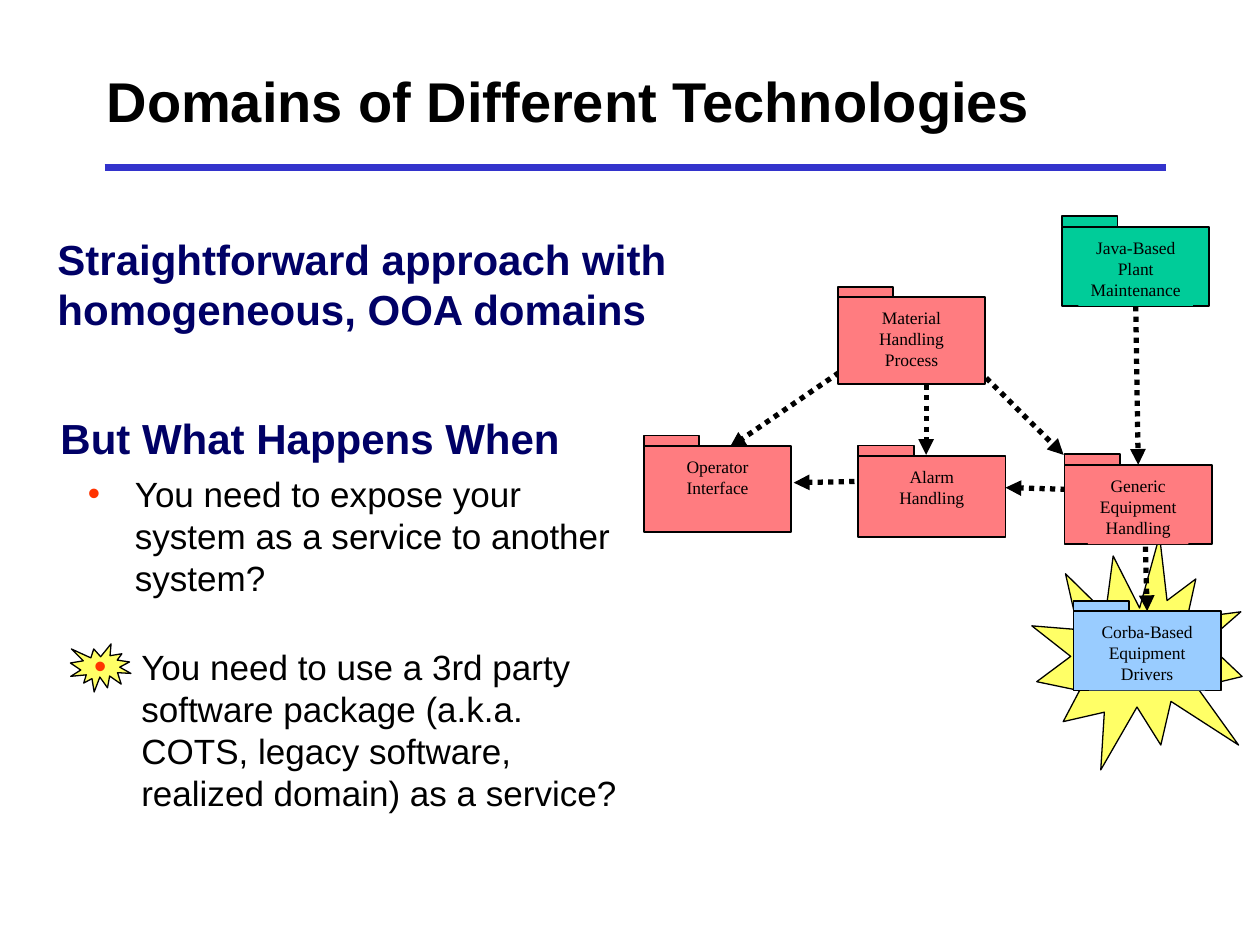
from dataclasses import dataclass

from lxml import etree
from pptx import Presentation
from pptx.dml.color import RGBColor
from pptx.enum.dml import MSO_LINE
from pptx.enum.shapes import MSO_CONNECTOR, MSO_SHAPE
from pptx.enum.text import MSO_ANCHOR, MSO_AUTO_SIZE, PP_ALIGN
from pptx.oxml.ns import qn
from pptx.util import Cm, Pt

RECT, BURST = MSO_SHAPE.RECTANGLE, MSO_SHAPE.EXPLOSION1
STRAIGHT, DOTTED = MSO_CONNECTOR.STRAIGHT, MSO_LINE.ROUND_DOT
TOP, MIDDLE, CENTER = MSO_ANCHOR.TOP, MSO_ANCHOR.MIDDLE, PP_ALIGN.CENTER
FIXED = MSO_AUTO_SIZE.NONE
TOP_SIDE, BOTTOM_SIDE = 0, 2

BLACK = RGBColor(0x00, 0x00, 0x00)
NAVY = RGBColor(0x00, 0x00, 0x66)
BLUE = RGBColor(0x33, 0x33, 0xCC)
YELLOW = RGBColor(0xFF, 0xFF, 0x66)
PINK = RGBColor(0xFF, 0x7C, 0x80)
GREEN = RGBColor(0x00, 0xCC, 0x99)
SKY = RGBColor(0x99, 0xCC, 0xFF)
BULLET_RED = RGBColor(0xFF, 0x33, 0x00)

SANS, SERIF = "Arial", "Times New Roman"
FOLDER_W, TAB_W, TAB_H = 2.97, 1.12, 0.21


# All lengths below are in centimetres
@dataclass
class Folder:
    """A domain package; x and y locate its body, the tab sits above."""
    x: float
    y: float
    height: float
    label_w: float
    color: RGBColor
    lines: list[str]


@dataclass
class Arrow:
    x1: float
    y1: float
    x2: float
    y2: float


@dataclass
class TextBlock:
    x: float
    y: float
    w: float
    h: float
    text: str
    size: int
    color: RGBColor
    bold: bool = True
    bullet: bool = False


FOLDERS = {
    "material": Folder(16.89, 5.99, 1.75, 1.9, PINK,
                       ["Material", "Handling", "Process"]),
    "alarm": Folder(17.3, 9.19, 1.63, 1.8, PINK, ["Alarm", "Handling"]),
    "generic": Folder(21.46, 9.37, 1.6, 2.03, PINK,
                      ["Generic", "Equipment", "Handling"]),
    "operator": Folder(12.98, 8.99, 1.73, 1.75, PINK,
                       ["Operator", "Interface"]),
    "drivers": Folder(21.64, 12.32, 1.6, 2.34, SKY,
                      ["Corba-Based", "Equipment", "Drivers"]),
    "maintenance": Folder(21.41, 4.57, 1.6, 2.31, GREEN,
                          ["Java-Based", "Plant", "Maintenance"]),
}

ARROWS = [
    Arrow(22.12, 9.88, 20.27, 9.83),   # generic to alarm
    Arrow(17.65, 9.7, 16, 9.73),       # alarm to operator
    Arrow(19.58, 7.32, 21.44, 9.17),   # material to generic
    Arrow(18.67, 7.54, 18.67, 9.17),   # material to alarm
    Arrow(17.09, 7.39, 14.71, 9.02),   # material to operator
]
DRIVERS_ARROW = Arrow(23.09, 11.02, 23.09, 12.27)
MAINTENANCE_ARROW = Arrow(22.94, 6.2, 23.01, 9.4)

TEXTS = [
    TextBlock(1.9, 0.84, 21.59, 2.34, "Domains of Different Technologies",
              32, BLACK),
    TextBlock(0.91, 4.55, 13.23, 2.34,
              "Straightforward approach with homogeneous, OOA domains",
              24, NAVY),
    TextBlock(0.97, 7.9, 13.21, 1.85, "But What Happens When", 24, NAVY),
    TextBlock(1.52, 9.4, 11.15, 3.2,
              "You need to expose your system as a service to another system?",
              20, BLACK, bold=False, bullet=True),
    TextBlock(1.65, 12.88, 11.1, 4.22,
              "You need to use a 3rd party software package (a.k.a. COTS, "
              "legacy software, realized domain) as a service?",
              20, BLACK, bold=False, bullet=True),
]


def add_run(p, text: str, font: str, size: int, color: RGBColor,
            bold: bool = False) -> None:
    r = p.add_run()
    r.text = text
    r.font.name, r.font.size, r.font.bold = font, Pt(size), bold
    r.font.color.rgb = color


def add_outlined(s, kind, x: float, y: float, w: float, h: float,
                 color: RGBColor, line_pt: float = 1):
    sp = s.shapes.add_shape(kind, Cm(x), Cm(y), Cm(w), Cm(h))
    sp.shadow.inherit = False
    sp.fill.solid()
    sp.fill.fore_color.rgb = color
    sp.line.color.rgb = BLACK
    sp.line.width = Pt(line_pt)
    return sp


def add_line(s, a: Arrow, color: RGBColor, width: float):
    cn = s.shapes.add_connector(STRAIGHT, Cm(a.x1), Cm(a.y1),
                                Cm(a.x2), Cm(a.y2))
    cn.line.color.rgb = color
    cn.line.width = Pt(width)
    etree.SubElement(cn._element.spPr, qn("a:effectLst"))
    return cn


def add_arrow(s, a: Arrow):
    cn = add_line(s, a, BLACK, 3)
    cn.line.dash_style = DOTTED
    ln = cn._element.spPr.find(qn("a:ln"))
    etree.SubElement(ln, qn("a:tailEnd"), type="triangle")
    return cn


def add_folder(s, f: Folder):
    body = add_outlined(s, RECT, f.x, f.y, FOLDER_W, f.height, f.color)
    add_outlined(s, RECT, f.x, f.y - TAB_H, TAB_W, TAB_H, f.color)
    # The label is centred on the body and hides part of its lower edge
    label_x = f.x + (FOLDER_W - f.label_w) / 2
    label_h = 0.32 + 0.4 * len(f.lines)
    sp = s.shapes.add_textbox(Cm(label_x), Cm(f.y + 0.08),
                              Cm(f.label_w), Cm(label_h))
    sp.fill.solid()
    sp.fill.fore_color.rgb = f.color
    tf = sp.text_frame
    tf.word_wrap = False
    tf.auto_size = FIXED
    # Narrow side margins leave room for the longest word
    tf.margin_left = tf.margin_right = Cm(0)
    for i, line in enumerate(f.lines):
        p = tf.add_paragraph() if i else tf.paragraphs[0]
        p.alignment = CENTER
        add_run(p, line, SERIF, 10, BLACK)
    return body


def add_text(s, t: TextBlock) -> None:
    tf = s.shapes.add_textbox(Cm(t.x), Cm(t.y), Cm(t.w), Cm(t.h)).text_frame
    tf.word_wrap = True
    tf.vertical_anchor = TOP if t.bullet else MIDDLE
    p = tf.paragraphs[0]
    if t.bullet:
        pPr = p._p.get_or_add_pPr()
        pPr.set("marL", str(Cm(0.95)))
        pPr.set("indent", str(-Cm(0.95)))
        bu_color = etree.SubElement(pPr, qn("a:buClr"))
        etree.SubElement(bu_color, qn("a:srgbClr"), val=str(BULLET_RED))
        etree.SubElement(pPr, qn("a:buFont"), typeface=SANS)
        etree.SubElement(pPr, qn("a:buChar"), char="•")
    add_run(p, t.text, SANS, t.size, t.color, t.bold)


def main() -> None:
    prs = Presentation()
    prs.slide_width, prs.slide_height = Cm(25.4), Cm(19.05)
    s = prs.slides.add_slide(prs.slide_layouts[6])

    # Title rule and highlight bursts
    add_line(s, Arrow(2.11, 3.38, 23.5, 3.38), BLUE, 4)
    add_outlined(s, BURST, 1.42, 12.98, 1.22, 0.97, YELLOW, 0.75)
    burst = add_outlined(s, BURST, 20.8, 10.8, 4.24, 4.72, YELLOW, 0.75)
    burst.rotation = 180

    # Domain chart
    for arrow in ARROWS:
        add_arrow(s, arrow)
    bodies = {name: add_folder(s, f) for name, f in FOLDERS.items()}
    add_arrow(s, DRIVERS_ARROW).end_connect(bodies["drivers"], TOP_SIDE)
    cn = add_arrow(s, MAINTENANCE_ARROW)
    cn.begin_connect(bodies["maintenance"], BOTTOM_SIDE)
    cn.end_connect(bodies["generic"], TOP_SIDE)

    # Title, headings and bullets
    for block in TEXTS:
        add_text(s, block)

    prs.save("out.pptx")


if __name__ == "__main__":
    main()
